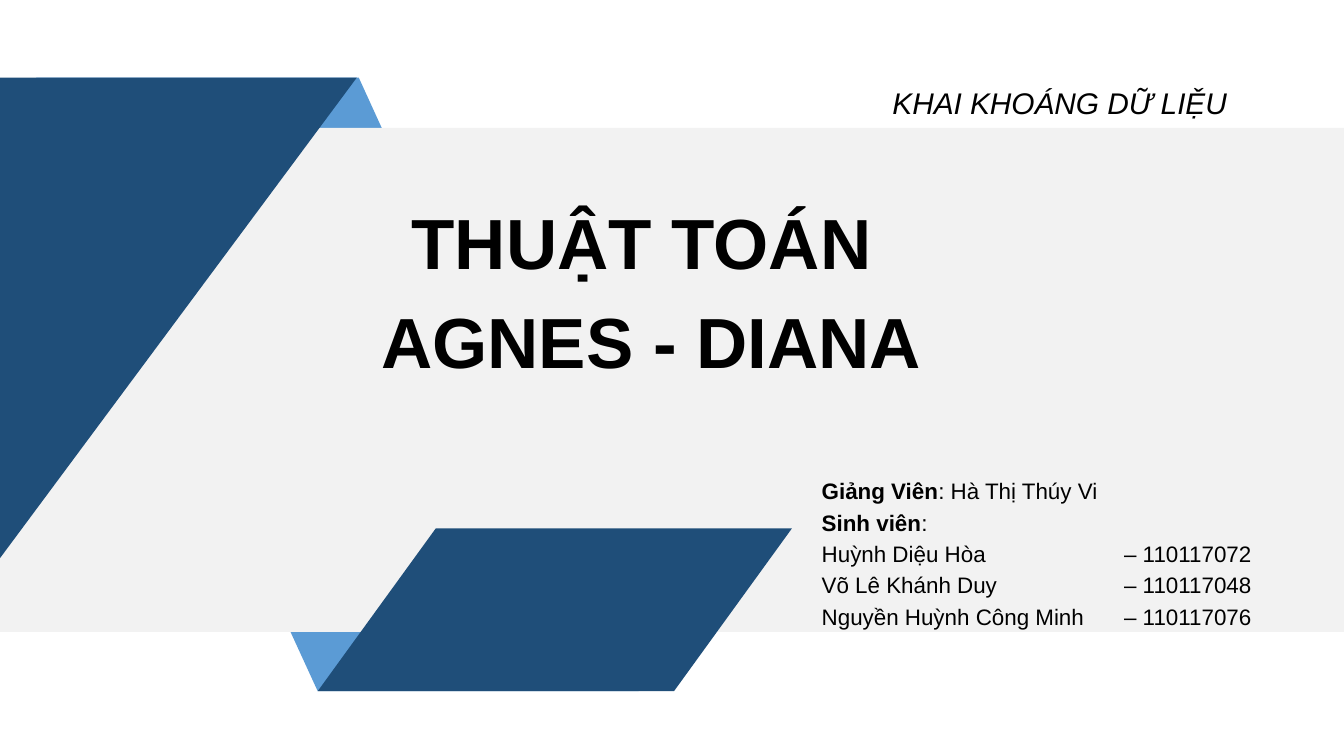
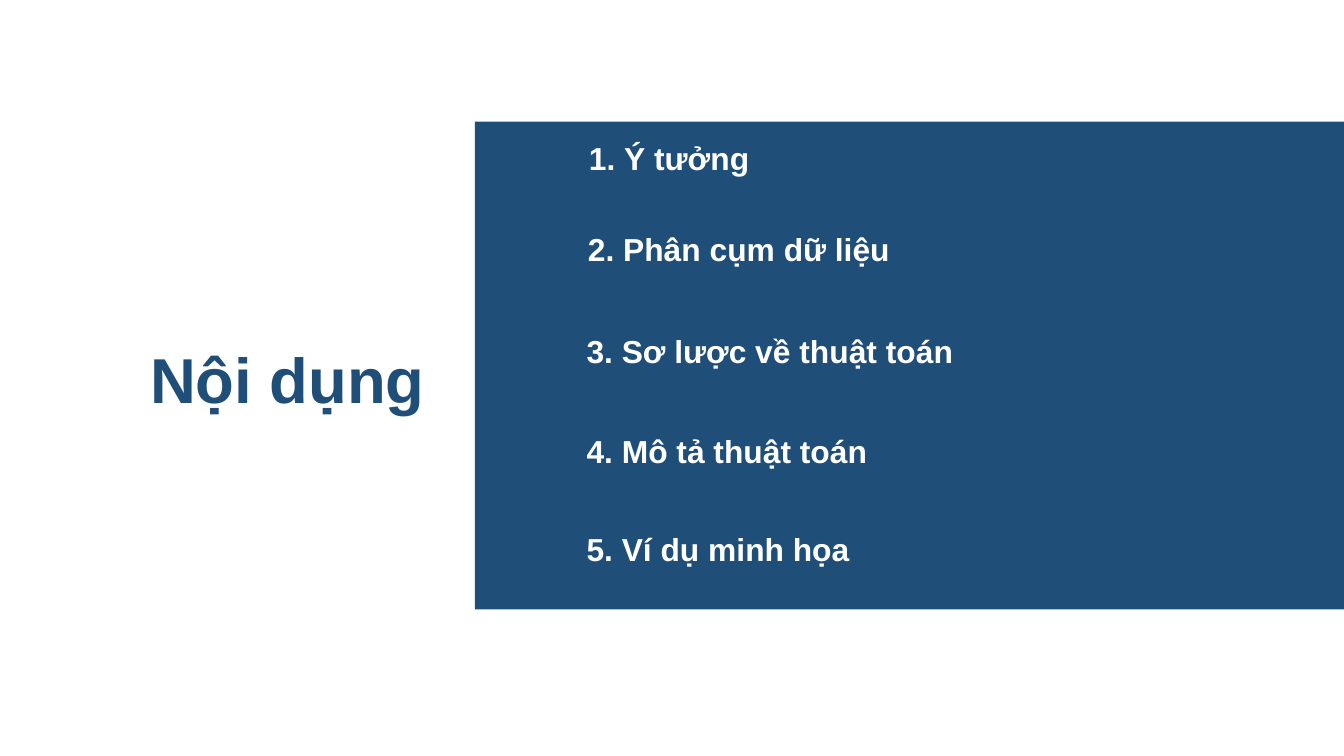
"""Build the title slide and the contents slide of a data mining talk."""
from dataclasses import dataclass

from lxml import etree
from pptx import Presentation
from pptx import util as u
from pptx.dml.color import RGBColor
from pptx.enum import shapes, text
from pptx.oxml.ns import qn

COLORS = {
    "navy": "1F4E79",
    "sky": "5B9BD5",
    "pale": "F2F2F2",
    "white": "FFFFFF",
    "black": "000000",
}
FONT = "Arial"
WIDTH, HEIGHT = u.Inches(10), u.Inches(5.625)
LEFT, CENTER = text.PP_ALIGN.LEFT, text.PP_ALIGN.CENTER
TOP, MIDDLE = text.MSO_ANCHOR.TOP, text.MSO_ANCHOR.MIDDLE


@dataclass(frozen=True)
class Box:
    """A rectangle in percent of the slide's width and height."""

    x: float
    y: float
    w: float
    h: float

    def emu(self) -> tuple:
        """Return left, top, width and height as lengths."""
        return across(self.x), down(self.y), across(self.w), down(self.h)

    def corners(self) -> tuple:
        """Return the four corners, clockwise from the top left."""
        right, bottom = self.x + self.w, self.y + self.h
        return (self.x, self.y), (right, self.y), (right, bottom), (self.x, bottom)


@dataclass(frozen=True)
class Ribbon:
    """A filled polygon with corners in percent of the slide."""

    color: str
    corners: tuple


@dataclass(frozen=True)
class Topic:
    """One entry of the contents list."""

    label: str
    x: float
    y: float


def across(share: float) -> int:
    """Turn percent of the slide's width into a length."""
    return u.Emu(round(WIDTH * share / 100))


def down(share: float) -> int:
    """Turn percent of the slide's height into a length."""
    return u.Emu(round(HEIGHT * share / 100))


def paint(sp, color: str = "") -> None:
    """Give a shape a plain fill, or none, without line or shadow."""
    sp.shadow.inherit = False
    sp.line.fill.background()
    if color:
        sp.fill.solid()
        sp.fill.fore_color.rgb = RGBColor.from_string(COLORS[color])
    else:
        sp.fill.background()


def add_panel(s, box: Box, color: str) -> None:
    """Draw a filled rectangle."""
    paint(s.shapes.add_shape(shapes.MSO_SHAPE.RECTANGLE, *box.emu()), color)


def add_polygon(s, corners: tuple, color: str = ""):
    """Draw a polygon and return it."""
    points = [(across(x), down(y)) for x, y in corners]
    builder = s.shapes.build_freeform(*points[0])
    builder.add_line_segments(points[1:], close=True)
    sp = builder.convert_to_shape()
    paint(sp, color)
    return sp


def space_paragraph(p, before: int, tabs: tuple) -> None:
    """Set the space before in percent of a line and tab stops in inches."""
    pPr = p._p.get_or_add_pPr()
    if before:
        gap = etree.SubElement(pPr, qn("a:spcBef"))
        etree.SubElement(gap, qn("a:spcPct"), val=str(before * 1000))
    if tabs:
        stops = etree.SubElement(pPr, qn("a:tabLst"))
        for tab in tabs:
            etree.SubElement(stops, qn("a:tab"), pos=str(u.Inches(tab)), algn="l")


def write(sp, content: str, *, size: float, color: str = "black",
          bold: bool = False, italic: bool = False, align=LEFT, anchor=TOP,
          before: int = 0, tabs: tuple = (), inset: bool = False) -> None:
    """Write lines of text into a shape; a part in front of a bar is bold."""
    tf = sp.text_frame
    tf.word_wrap = True
    tf.auto_size = text.MSO_AUTO_SIZE.SHAPE_TO_FIT_TEXT
    tf.vertical_anchor = anchor
    if not inset:
        tf.margin_left = tf.margin_right = tf.margin_top = tf.margin_bottom = 0
    for i, line in enumerate(content.split("\n")):
        p = tf.add_paragraph() if i else tf.paragraphs[0]
        p.alignment = align
        space_paragraph(p, before, tabs)
        lead, _, rest = line.rpartition("|")
        for part, heavy in ((lead, True), (rest, bold)):
            if part:
                r = p.add_run()
                r.text = part
                r.font.name, r.font.size = FONT, u.Pt(size)
                r.font.bold, r.font.italic = heavy, italic
                r.font.color.rgb = RGBColor.from_string(COLORS[color])


def add_text(s, box: Box, content: str, **fmt) -> None:
    """Add a text box with formatted text."""
    write(s.shapes.add_textbox(*box.emu()), content, **fmt)


FOLD = Ribbon("sky", ((47.52, 91.42), (23.64, 91.42), (2.7, 10.27), (26.7, 10.27)))
RIBBONS = (
    Ribbon("navy", ((26.55, 10.27), (0, 73.84), (0, 10.27))),
    Ribbon("navy", ((32.42, 69.9), (23.64, 91.42), (50.15, 91.42), (58.92, 69.9))),
)
CREDITS = "\n".join((
    "Giảng Viên|: Hà Thị Thúy Vi",
    "Sinh viên|:",
    "Huỳnh Diệu Hòa \t\t– 110117072",
    "Võ Lê Khánh Duy \t\t– 110117048",
    "Nguyền Huỳnh Công Minh \t– 110117076",
))
TOPICS = (
    Topic("Ý tưởng", 43.82, 18.31),
    Topic("Phân cụm dữ liệu", 43.74, 30.34),
    Topic("Sơ lược về thuật toán ", 43.64, 43.84),
    Topic("Mô tả thuật toán", 43.64, 57.07),
    Topic("Ví dụ minh họa", 43.64, 70.04),
)


def build_title(s) -> None:
    """Draw the title slide."""
    add_polygon(s, FOLD.corners, FOLD.color)
    add_panel(s, Box(0, 16.93, 100, 66.67), "pale")
    for ribbon in RIBBONS:
        add_polygon(s, ribbon.corners, ribbon.color)
    add_text(s, Box(18.8, 26.25, 59.35, 25.07), "THUẬT TOÁN \nAGNES - DIANA",
             size=38, bold=True, align=CENTER, before=20)
    add_text(s, Box(61.14, 62.84, 38.86, 20.8), CREDITS,
             size=12, anchor=MIDDLE, before=20, tabs=(1.5, 2.25))
    add_text(s, Box(65.42, 10.31, 33.6, 6.58), "KHAI KHOÁNG DỮ LIỆU",
             size=16, italic=True, inset=True)


def build_contents(s) -> None:
    """Draw the contents slide."""
    add_panel(s, Box(35.34, 16.1, 64.66, 64.53), "navy")
    add_text(s, Box(7.44, 44.98, 27.9, 10.13), "Nội dụng",
             size=34, color="navy", bold=True, align=CENTER)
    for number, topic in enumerate(TOPICS, 1):
        sp = add_polygon(s, Box(topic.x, topic.y, 33.8, 5.16).corners())
        write(sp, f"{number}. {topic.label}",
              size=17, color="white", bold=True, anchor=MIDDLE)


def main() -> None:
    """Build and save the presentation."""
    prs = Presentation()
    prs.slide_width, prs.slide_height = WIDTH, HEIGHT
    for build in (build_title, build_contents):
        build(prs.slides.add_slide(prs.slide_layouts[6]))
    prs.save("out.pptx")


main()
